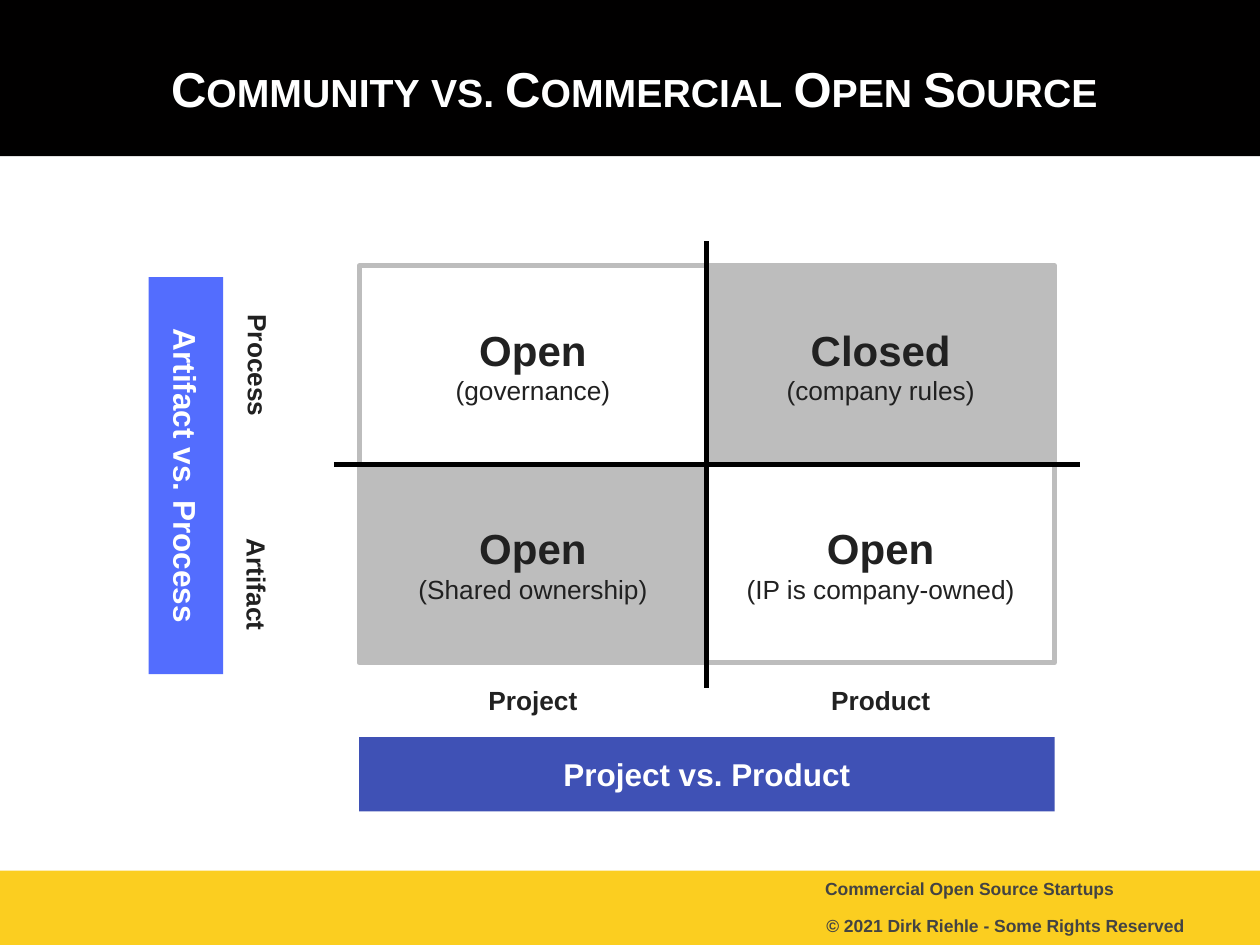
"""Build the community versus commercial open source matrix slide."""
from lxml import etree
from pptx import Presentation
from pptx.dml.color import RGBColor
from pptx.enum.shapes import MSO_CONNECTOR, MSO_SHAPE
from pptx.enum.text import MSO_ANCHOR, PP_ALIGN
from pptx.oxml.ns import qn
from pptx.util import Inches, Pt

RECT, STRAIGHT = MSO_SHAPE.RECTANGLE, MSO_CONNECTOR.STRAIGHT
MIDDLE, TOP = MSO_ANCHOR.MIDDLE, MSO_ANCHOR.TOP
CENTER, LEFT = PP_ALIGN.CENTER, PP_ALIGN.LEFT

WHITE, INK, GREY = "FFFFFF", "212121", "BDBDBD"
TITLE = "Community vs. Commercial Open Source"
FOOTERS = [
    ("Commercial Open Source Startups", 6.45, 6.92, 3.5),
    ("© 2021 Dirk Riehle - Some Rights Reserved", 6.46, 7.21, 3.5),
]
CELLS = [
    [("Open", "(governance)", WHITE), ("Closed", "(company rules)", GREY)],
    [("Open", "(Shared ownership)", GREY), ("Open", "(IP is company-owned)", WHITE)],
]
COLUMNS = ["Project", "Product"]
ROWS = [("Process", 2.05, 2.9), ("Artifact", 2.04, 4.64)]
GRID_X, GRID_Y, CELL_W, CELL_H = 2.85, 2.11, 2.76, 1.575
BAND, OVERHANG, LINE_W = 0.59, 0.2, 2.83


def rgb(value):
    return RGBColor.from_string(value)


def add_rect(s, x, y, w, h, fill, line=None):
    sp = s.shapes.add_shape(RECT, Inches(x), Inches(y), Inches(w), Inches(h))
    sp.shadow.inherit = False
    sp.fill.solid()
    sp.fill.fore_color.rgb = rgb(fill)
    if line:
        sp.line.color.rgb = rgb(line)
        sp.line.width = Pt(LINE_W)
    else:
        sp.line.fill.background()
    return sp


def add_box(s, x, y, w, h):
    return s.shapes.add_textbox(Inches(x), Inches(y), Inches(w), Inches(h))


def write(sp, lines, color, align=CENTER, anchor=MIDDLE):
    tf = sp.text_frame
    tf.word_wrap = True
    tf.vertical_anchor = anchor
    for i, (text, size, bold) in enumerate(lines):
        p = tf.add_paragraph() if i else tf.paragraphs[0]
        p.text = text
        p.alignment = align
        p.font.name = "Arial"
        p.font.size = Pt(size)
        p.font.bold = bold
        p.font.color.rgb = rgb(color)


def add_axis(s, x1, y1, x2, y2):
    cx = s.shapes.add_connector(STRAIGHT, Inches(x1), Inches(y1), Inches(x2), Inches(y2))
    cx.line.color.rgb = rgb("000000")
    cx.line.width = Pt(LINE_W)
    etree.SubElement(cx._element.spPr, qn("a:effectLst"))


def add_frame(s):
    add_rect(s, 0, 6.91, 10, BAND, "FBCE20")
    add_rect(s, 0, 0, 10, 1.24, "010000")
    title = add_box(s, 0.49, 0.16, 9.09, 1.08)
    write(title, [(TITLE, 28, True)], WHITE)
    r = title.text_frame.paragraphs[0].runs[0]
    r._r.get_or_add_rPr().set("cap", "small")
    for text, x, y, w in FOOTERS:
        write(add_box(s, x, y, w, 0.3), [(text, 10, True)], "434343", LEFT, TOP)


def add_matrix(s):
    right, bottom = GRID_X + 2 * CELL_W, GRID_Y + 2 * CELL_H
    for i, row in enumerate(CELLS):
        for j, (head, note, fill) in enumerate(row):
            sp = add_rect(s, GRID_X + j * CELL_W, GRID_Y + i * CELL_H, CELL_W, CELL_H, fill, GREY)
            write(sp, [(head, 24, True), (note, 15, False)], INK)
    for j, text in enumerate(COLUMNS):
        label = add_box(s, GRID_X + j * CELL_W, bottom, CELL_W, BAND)
        write(label, [(text, 15, True)], INK)
    for text, cx, cy in ROWS:
        label = add_box(s, cx - CELL_H / 2, cy - BAND / 2, CELL_H, BAND)
        label.rotation = 90
        write(label, [(text, 15, True)], INK)
    bar = add_rect(s, GRID_X, bottom + BAND, 2 * CELL_W, BAND, "3F51B5")
    write(bar, [("Project vs. Product", 18, True)], WHITE)
    bar = add_rect(s, -0.1, 3.48, 2 * CELL_H, BAND, "536DFE")
    bar.rotation = 90
    write(bar, [("Artifact vs. Process", 18, True)], WHITE)
    mid_x, mid_y = GRID_X + CELL_W, GRID_Y + CELL_H
    add_axis(s, GRID_X - OVERHANG, mid_y, right + OVERHANG, mid_y)
    add_axis(s, mid_x, bottom + OVERHANG, mid_x, GRID_Y - OVERHANG)


def main():
    prs = Presentation()
    prs.slide_width, prs.slide_height = Inches(10), Inches(7.5)
    s = prs.slides.add_slide(prs.slide_layouts[6])
    add_frame(s)
    add_matrix(s)
    prs.save("out.pptx")


if __name__ == "__main__":
    main()
